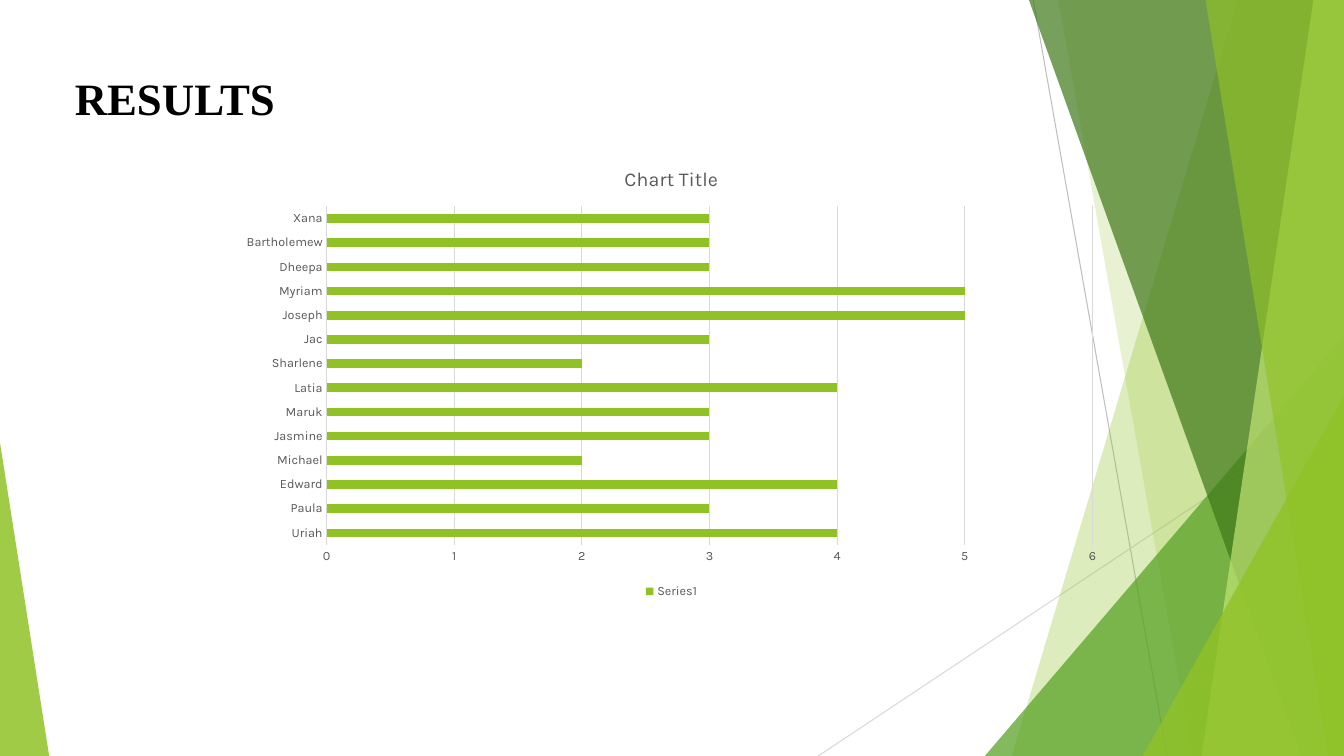
import pptx
import pptx.chart.data
import pptx.dml.color
import pptx.enum.chart
import pptx.enum.shapes
import pptx.enum.text
import pptx.oxml
import pptx.oxml.ns
import pptx.util
from pptx.util import Cm

RGBColor = pptx.dml.color.RGBColor
BLACK = RGBColor(0x00, 0x00, 0x00)
TEXT_GREY = RGBColor(0x59, 0x59, 0x59)
LINE_GREY = RGBColor(0xBF, 0xBF, 0xBF)
PALE_GREY = RGBColor(0xD9, 0xD9, 0xD9)
LIME = RGBColor(0x90, 0xC2, 0x26)
PALE_LIME = RGBColor(0xC0, 0xE4, 0x74)
GREEN = RGBColor(0x54, 0xA0, 0x21)
DARK_GREEN = RGBColor(0x3F, 0x78, 0x19)

SLIDE_WIDTH, SLIDE_HEIGHT = 33.87, 19.05

# start x, start y, end x, end y, colour
THIN_LINES = [
    (26.04, 0, 29.41, SLIDE_HEIGHT, LINE_GREY),
    (SLIDE_WIDTH, 10.24, 20.62, SLIDE_HEIGHT, PALE_GREY),
]
# Bands reach the right edge: top-left x, bottom-left x, colour, opacity.
# Triangles stand on the bottom edge: left, width, height, apex, colour, opacity.
FACETS = [
    ("band", 31.19, 25.5, LIME, 30),
    ("band", 26.67, 30.05, LIME, 20),
    ("triangle", 24.82, 9.05, 10.59, 1, GREEN, 72),
    ("band", 25.93, 32.79, DARK_GREEN, 70),
    ("band", 33.1, 30.28, PALE_LIME, 70),
    ("band", 30.38, 33.48, LIME, 65),
    ("triangle", 28.8, 5.07, 9.07, 1, LIME, 80),
    ("triangle", 0, 1.24, 7.9, 0, LIME, 85),
]
SCORES = {
    "Uriah": 4, "Paula": 3, "Edward": 4, "Michael": 2, "Jasmine": 3,
    "Maruk": 3, "Latia": 4, "Sharlene": 2, "Jac": 3, "Joseph": 5,
    "Myriam": 5, "Dheepa": 3, "Bartholemew": 3, "Xana": 3,
}


def set_attributes(target, values):
    for name, value in values.items():
        setattr(target, name, value)


def set_font(font, color, **values):
    set_attributes(font, values)
    font.color.rgb = color


def set_line(line, color):
    line.color.rgb = color
    line.width = pptx.util.Pt(0.75)


def fill_translucent(shape, color, opacity):
    shape.shadow.inherit = False
    shape.line.fill.background()
    shape.fill.solid()
    shape.fill.fore_color.rgb = color
    color_element = shape.fill._xPr.find(".//" + pptx.oxml.ns.qn("a:srgbClr"))
    alpha = pptx.oxml.parse_xml(
        f'<a:alpha {pptx.oxml.ns.nsdecls("a")} val="{opacity * 1000}"/>')
    color_element.append(alpha)


def add_thin_line(slide, start_x, start_y, end_x, end_y, color):
    connector = slide.shapes.add_connector(
        pptx.enum.shapes.MSO_CONNECTOR.STRAIGHT,
        Cm(start_x), Cm(start_y), Cm(end_x), Cm(end_y))
    set_line(connector.line, color)
    connector._element.spPr.append(
        pptx.oxml.parse_xml(f'<a:effectLst {pptx.oxml.ns.nsdecls("a")}/>'))


def add_band(slide, width, height, top_x, bottom_x, color, opacity):
    builder = slide.shapes.build_freeform(Cm(top_x), 0)
    builder.add_line_segments([
        (Cm(width), 0), (Cm(width), Cm(height)), (Cm(bottom_x), Cm(height))])
    fill_translucent(builder.convert_to_shape(), color, opacity)


def add_triangle(slide, bottom, left, width, height, apex, color, opacity):
    triangle = slide.shapes.add_shape(
        pptx.enum.shapes.MSO_SHAPE.ISOSCELES_TRIANGLE,
        Cm(left), Cm(bottom - height), Cm(width), Cm(height))
    triangle.adjustments[0] = apex
    fill_translucent(triangle, color, opacity)


def add_facets(slide, width, height):
    """Draw the thin lines and overlapping green facets at the slide edges."""
    for thin_line in THIN_LINES:
        add_thin_line(slide, *thin_line)
    for kind, *values in FACETS:
        if kind == "band":
            add_band(slide, width, height, *values)
        else:
            add_triangle(slide, height, *values)


def place_title(slide, text, left, top, width, height):
    title = slide.shapes.title
    set_attributes(title, {"left": Cm(left), "top": Cm(top),
                           "width": Cm(width), "height": Cm(height)})
    set_attributes(title.text_frame, {
        "text": text,
        "word_wrap": True,
        "auto_size": pptx.enum.text.MSO_AUTO_SIZE.SHAPE_TO_FIT_TEXT,
        "vertical_anchor": pptx.enum.text.MSO_ANCHOR.TOP,
    })
    paragraph = title.text_frame.paragraphs[0]
    paragraph.alignment = pptx.enum.text.PP_ALIGN.LEFT
    set_font(paragraph.runs[0].font, BLACK, name="Times New Roman",
             size=pptx.util.Pt(32), bold=True)


def add_score_chart(slide, left, top, width, height):
    chart_data = pptx.chart.data.CategoryChartData()
    chart_data.categories = list(SCORES)
    chart_data.add_series("Series1", list(SCORES.values()))
    chart = slide.shapes.add_chart(
        pptx.enum.chart.XL_CHART_TYPE.BAR_CLUSTERED,
        Cm(left), Cm(top), Cm(width), Cm(height), chart_data).chart
    set_font(chart.font, BLACK, name="Karla", size=pptx.util.Pt(10))

    chart.has_title = True
    chart.chart_title.include_in_layout = False
    chart.chart_title.text_frame.text = "Chart Title"
    title_run = chart.chart_title.text_frame.paragraphs[0].runs[0]
    set_font(title_run.font, TEXT_GREY, name="Karla",
             size=pptx.util.Pt(14), bold=False)

    chart.has_legend = True
    set_attributes(chart.legend, {
        "position": pptx.enum.chart.XL_LEGEND_POSITION.BOTTOM,
        "include_in_layout": False,
    })
    set_attributes(chart.value_axis, {
        "minimum_scale": 0, "maximum_scale": 6, "major_unit": 1})
    for axis in (chart.category_axis, chart.value_axis):
        axis.major_tick_mark = pptx.enum.chart.XL_TICK_MARK.NONE
        axis.minor_tick_mark = pptx.enum.chart.XL_TICK_MARK.NONE
    for font in (chart.legend.font, chart.category_axis.tick_labels.font,
                 chart.value_axis.tick_labels.font):
        set_font(font, TEXT_GREY, name="Karla", size=pptx.util.Pt(9))
    set_line(chart.category_axis.format.line, PALE_GREY)
    set_line(chart.value_axis.major_gridlines.format.line, PALE_GREY)
    chart.value_axis.format.line.fill.background()

    plot = chart.plots[0]
    set_attributes(plot, {"gap_width": 182, "vary_by_categories": False})
    bar_fill = plot.series[0].format.fill
    bar_fill.solid()
    bar_fill.fore_color.rgb = LIME


def main():
    presentation = pptx.Presentation()
    presentation.slide_width = Cm(SLIDE_WIDTH)
    presentation.slide_height = Cm(SLIDE_HEIGHT)
    slide = presentation.slides.add_slide(
        presentation.slide_layouts.get_by_name("Title Only"))
    add_facets(slide, SLIDE_WIDTH, SLIDE_HEIGHT)
    place_title(slide, "RESULTS", 1.63, 1.65, 19.28, 1.63)
    add_score_chart(slide, 5.77, 3.73, 22.3, 11.46)
    presentation.save("out.pptx")


if __name__ == "__main__":
    main()
